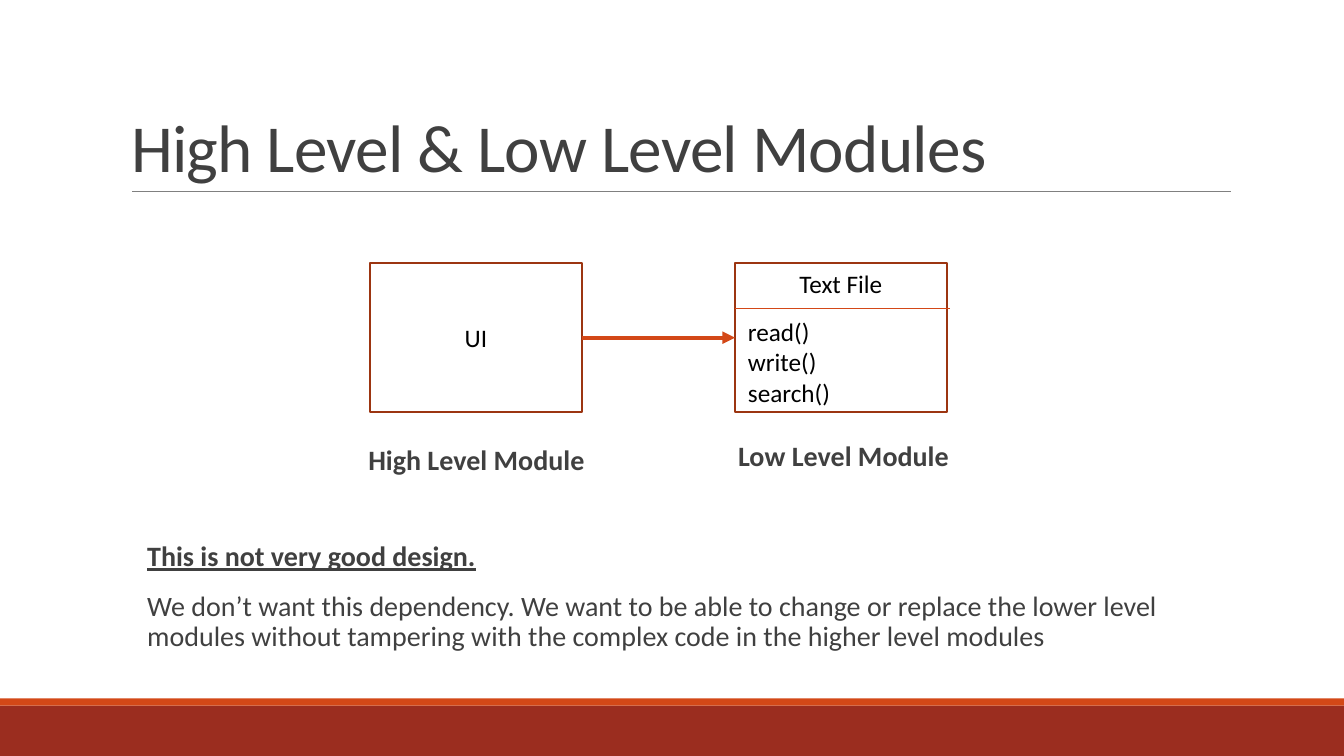
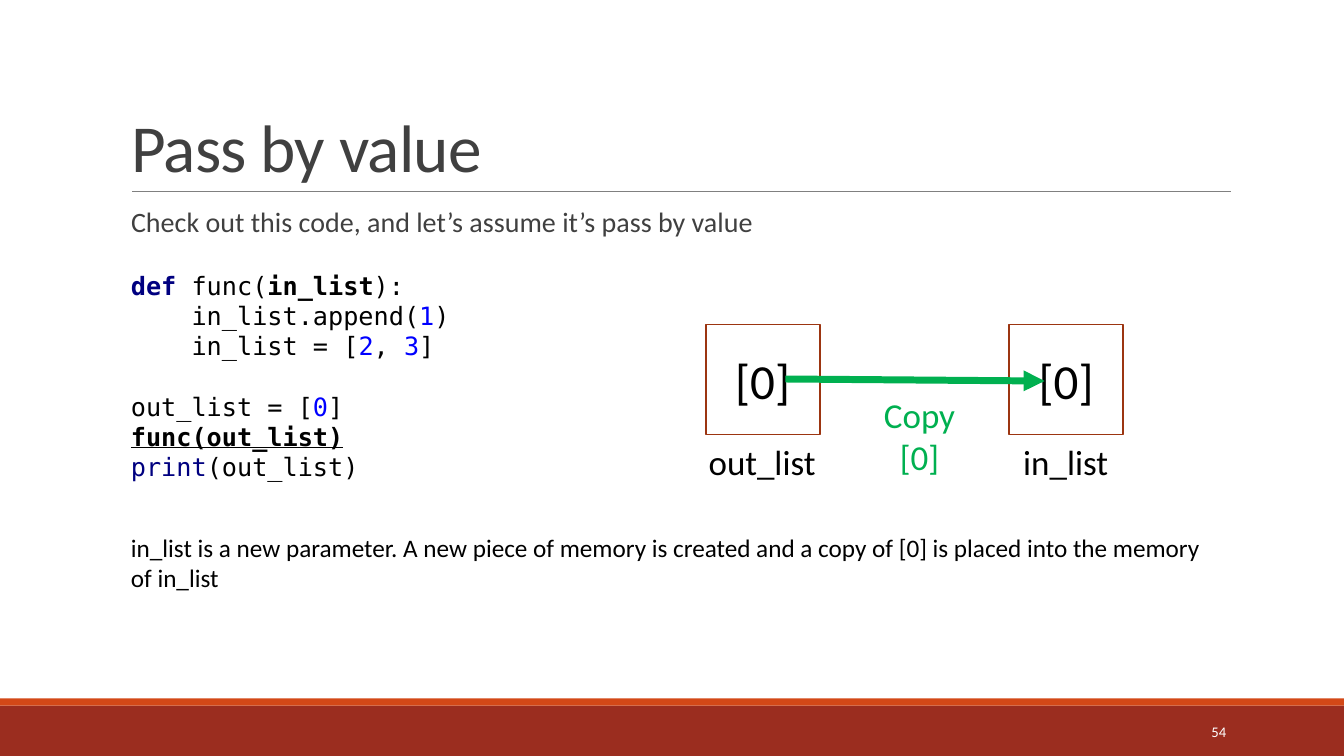
from copy import deepcopy
from dataclasses import dataclass, replace

from lxml import etree
from pptx import Presentation
from pptx.dml.color import RGBColor
from pptx.enum.shapes import MSO_CONNECTOR as CONN, MSO_SHAPE as SHAPE
from pptx.enum.text import MSO_ANCHOR as ANCHOR, PP_ALIGN as ALIGN
from pptx.oxml.ns import qn
from pptx.util import Inches, Pt

COLORS = {
    "band": "9B2D1F", "accent": "D34817", "rule": "808080", "box": "9C3511",
    "gray": "404040", "black": "000000", "white": "FFFFFF", "green": "00B050",
    "keyword": "000080", "number": "0000FF",
}
SANS, MONO = "Calibri", "DejaVu Sans Mono"
SLIDE_W, SLIDE_H = 13.33, 7.5


@dataclass(frozen=True)
class Style:
    size: float = 18
    color: str = "black"
    font: str = SANS
    bold: bool = False
    underline: bool = False
    align: ALIGN = ALIGN.LEFT
    anchor: ANCHOR = ANCHOR.TOP
    inset: float = 0.1
    line_spacing: float = 1.0
    gap: float = 0
    wrap: bool = True


@dataclass(frozen=True)
class Run:
    text: str
    color: str = "black"
    bold: bool = False
    underline: bool = False


@dataclass(frozen=True)
class Variable:
    name: str
    left: float
    label_left: float
    label_width: float


PLAIN = Style()
CENTERED = Style(align=ALIGN.CENTER)
BODY = Style(20, "gray", inset=0, line_spacing=0.9, gap=12)
CAPTION = replace(BODY, bold=True, align=ALIGN.CENTER)
TITLE = Style(48, "gray", anchor=ANCHOR.BOTTOM, line_spacing=0.85)
CODE = Style(font=MONO, anchor=ANCHOR.MIDDLE)
NUMBER = Style(10.5, "white", align=ALIGN.RIGHT, anchor=ANCHOR.MIDDLE)
VALUE = Style(35, align=ALIGN.CENTER, anchor=ANCHOR.MIDDLE)
NAME = Style(25, wrap=False)
COPY_NOTE = replace(NAME, color="green", align=ALIGN.CENTER)

CODE_RUNS = [
    Run("def ", "keyword", bold=True), Run("func("), Run("in_list", bold=True),
    Run("):\n    in_list.append("), Run("1", "number"),
    Run(")\n    in_list = ["), Run("2", "number"), Run(", "),
    Run("3", "number"), Run("]\n\nout_list = ["), Run("0", "number"),
    Run("]\n"), Run("func(out_list)\n", bold=True, underline=True),
    Run("print", "keyword"), Run("(out_list)"),
]
VARIABLES = [
    Variable("out_list", 7, 6.93, 1.27),
    Variable("in_list", 10.01, 10.05, 1.05),
]


def rgb(name: str) -> RGBColor:
    return RGBColor.from_string(COLORS[name])


# Text
def add_run(p, run: Run, style: Style) -> None:
    """Add a run, turning each newline into a line break of the same font."""
    last = None
    for i, part in enumerate(run.text.split("\n")):
        if i:
            p.add_line_break()
            if last is not None:
                p._p[-1].append(deepcopy(last))
        if not part:
            continue
        r = p.add_run()
        r.text = part
        r.font.name, r.font.size = style.font, Pt(style.size)
        r.font.bold, r.font.underline = run.bold, run.underline
        r.font.color.rgb = rgb(run.color)
        last = r._r.get_or_add_rPr()


def write(sp, paragraphs: list[list[Run]], style: Style) -> None:
    tf = sp.text_frame
    tf.word_wrap = style.wrap
    tf.vertical_anchor = style.anchor
    tf.margin_left = tf.margin_right = Inches(style.inset)
    tf.margin_top = tf.margin_bottom = Inches(0.05)
    for i, runs in enumerate(paragraphs):
        p = tf.add_paragraph() if i else tf.paragraphs[0]
        p.alignment, p.line_spacing = style.align, style.line_spacing
        p.space_before = Pt(style.gap if i else 0)
        p.space_after = Pt(2 if style.gap else 0)
        for run in runs:
            add_run(p, run, style)


def styled(text: str, style: Style) -> list[Run]:
    return [Run(text, style.color, style.bold, style.underline)]


def place(sp, left: float, top: float, width: float, height: float) -> None:
    sp.left, sp.top = Inches(left), Inches(top)
    sp.width, sp.height = Inches(width), Inches(height)


def add_text(s, at: tuple, paragraphs: list[list[Run]], style: Style):
    sp = s.shapes.add_textbox(*map(Inches, at))
    write(sp, paragraphs, style)
    return sp


# Shapes and lines
def add_rect(s, at: tuple, fill: str = "", line: str = ""):
    sp = s.shapes.add_shape(SHAPE.RECTANGLE, *map(Inches, at))
    sp.shadow.inherit = False
    if fill:
        sp.fill.solid()
        sp.fill.fore_color.rgb = rgb(fill)
    else:
        sp.fill.background()
    if line:
        sp.line.color.rgb, sp.line.width = rgb(line), Pt(1.25)
    else:
        sp.line.fill.background()
    return sp


def add_line(s, start: tuple, end: tuple, color: str, width: float,
             arrow: bool = False):
    line = s.shapes.add_connector(CONN.STRAIGHT, *map(Inches, start + end))
    line.line.color.rgb, line.line.width = rgb(color), Pt(width)
    if arrow:
        etree.SubElement(line.line._get_or_add_ln(), qn("a:tailEnd"),
                         type="triangle")
    etree.SubElement(line._element.spPr, qn("a:effectLst"))
    return line


# Shared slide frame: bands, title rule and title
def add_slide(prs, title: str):
    s = prs.slides.add_slide(prs.slide_layouts[5])
    add_rect(s, (0, 7, SLIDE_W, 0.5), "band")
    add_rect(s, (0, 6.93, SLIDE_W, 0.07), "accent")
    add_line(s, (1.31, 1.9), (12.21, 1.9), "rule", 0.5)
    sp = s.shapes.title
    place(sp, 1.2, 0.31, 11, 1.59)
    write(sp, [styled(title, TITLE)], TITLE)
    for r in sp.text_frame.paragraphs[0].runs:
        r._r.get_or_add_rPr().set("spc", "-50")
    return s


def build_modules(prs) -> None:
    s = add_slide(prs, "High Level & Low Level Modules")

    # Module boxes and dependency arrow
    top, width, height = 2.61, 2.1, 1.48
    ui, text_file = [add_rect(s, (left, top, width, height), "white", "box")
                     for left in (3.67, 7.29)]
    write(ui, [[Run("UI")]], replace(CENTERED, anchor=ANCHOR.MIDDLE))
    arrow = add_line(s, (5.77, 3.35), (7.29, 3.35), "accent", 3, arrow=True)
    arrow.begin_connect(ui, 3)
    arrow.end_connect(text_file, 1)

    # Contents of the low level module
    add_line(s, (7.29, 3.06), (9.42, 3.06), "accent", 1)
    add_text(s, (7.29, top, width, 0.4), [[Run("Text File")]], CENTERED)
    add_text(s, (7.32, 3.09, width, 1.01),
             [[Run("read()\nwrite()\nsearch()")]], PLAIN)

    # Captions
    for text, left, caption_top in (("High Level Module", 3.55, 4.38),
                                    ("Low Level Module", 7.19, 4.34)):
        add_text(s, (left, caption_top, 2.35, 0.66),
                 [styled(text, CAPTION)], CAPTION)

    # Conclusion
    verdict = replace(BODY, bold=True, underline=True)
    add_text(s, (1.46, 5.33, 10.86, 1.43), [
        styled("This is not very good design.", verdict),
        styled("We don’t want this dependency. We want to be able to change "
               "or replace the lower level modules without tampering with "
               "the complex code in the higher level modules", BODY),
    ], BODY)


def build_pass_by_value(prs) -> None:
    s = add_slide(prs, "Pass by value")
    add_text(s, (1.3, 2.02, 10.9, 0.6), [styled(
        "Check out this code, and let’s assume it’s pass by value", BODY)],
        BODY)
    add_text(s, (10.83, 7.06, 1.43, 0.4), [styled("54", NUMBER)], NUMBER)
    add_text(s, (1.2, 2.62, 4.66, 2.22), [CODE_RUNS], CODE)

    # Variables in memory
    for var in VARIABLES:
        sp = add_rect(s, (var.left, 3.22, 1.13, 1.09), line="box")
        write(sp, [[Run("[0]")]], VALUE)
        add_text(s, (var.label_left, 4.32, var.label_width, 0.52),
                 [[Run(var.name)]], NAME)

    # Copy arrow
    add_line(s, (7.79, 3.76), (10.36, 3.78), "green", 5, arrow=True)
    add_text(s, (8.66, 3.86, 0.92, 0.94),
             [styled(text, COPY_NOTE) for text in ("Copy", "[0]")], COPY_NOTE)

    # Explanation
    add_text(s, (1.2, 5.23, 11.06, 0.71), [[Run(
        "in_list is a new parameter. A new piece of memory is created and a "
        "copy of [0] is placed into the memory of in_list")]], PLAIN)


def main() -> None:
    prs = Presentation()
    prs.slide_width, prs.slide_height = Inches(SLIDE_W), Inches(SLIDE_H)
    build_modules(prs)
    build_pass_by_value(prs)
    prs.save("out.pptx")


if __name__ == "__main__":
    main()
